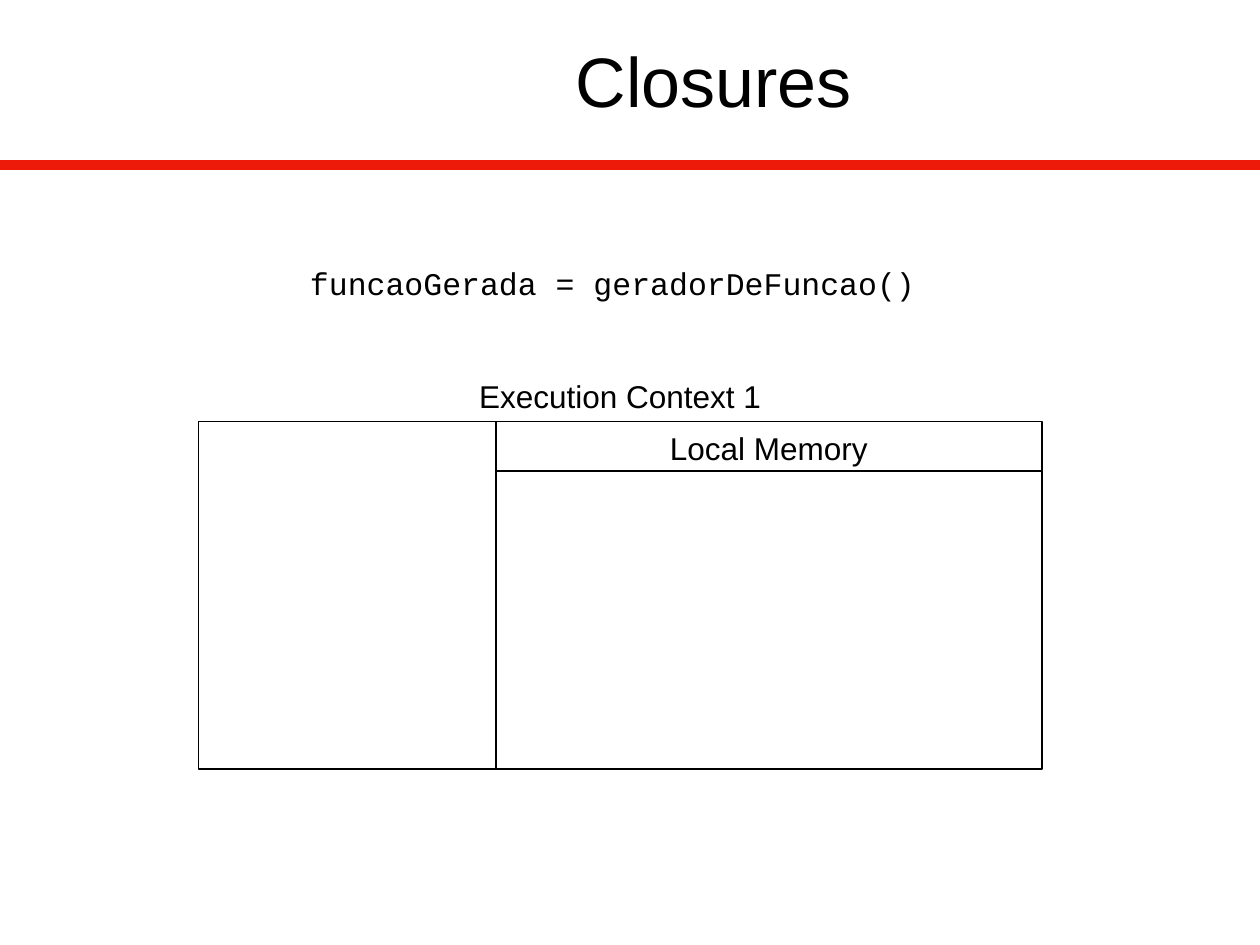
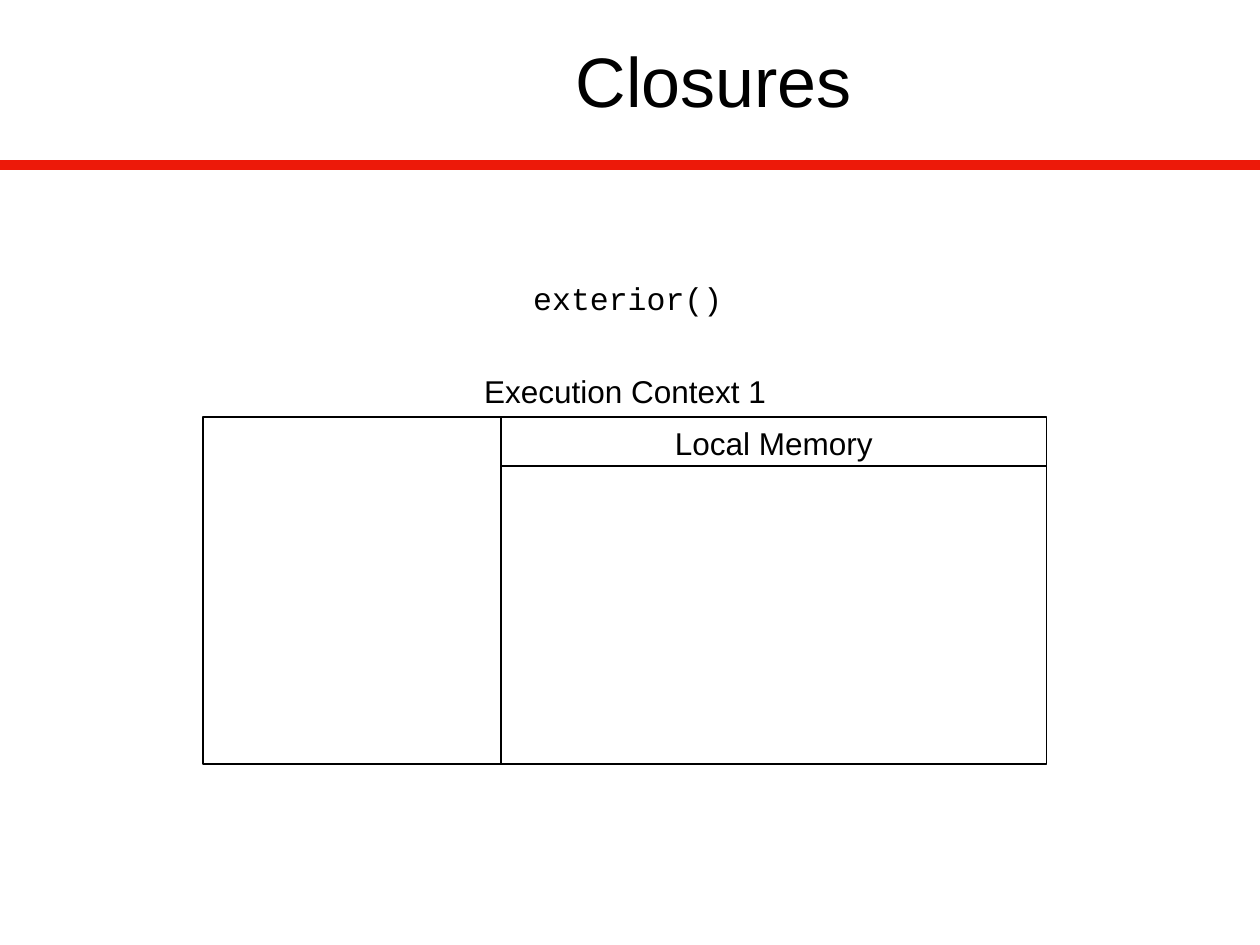
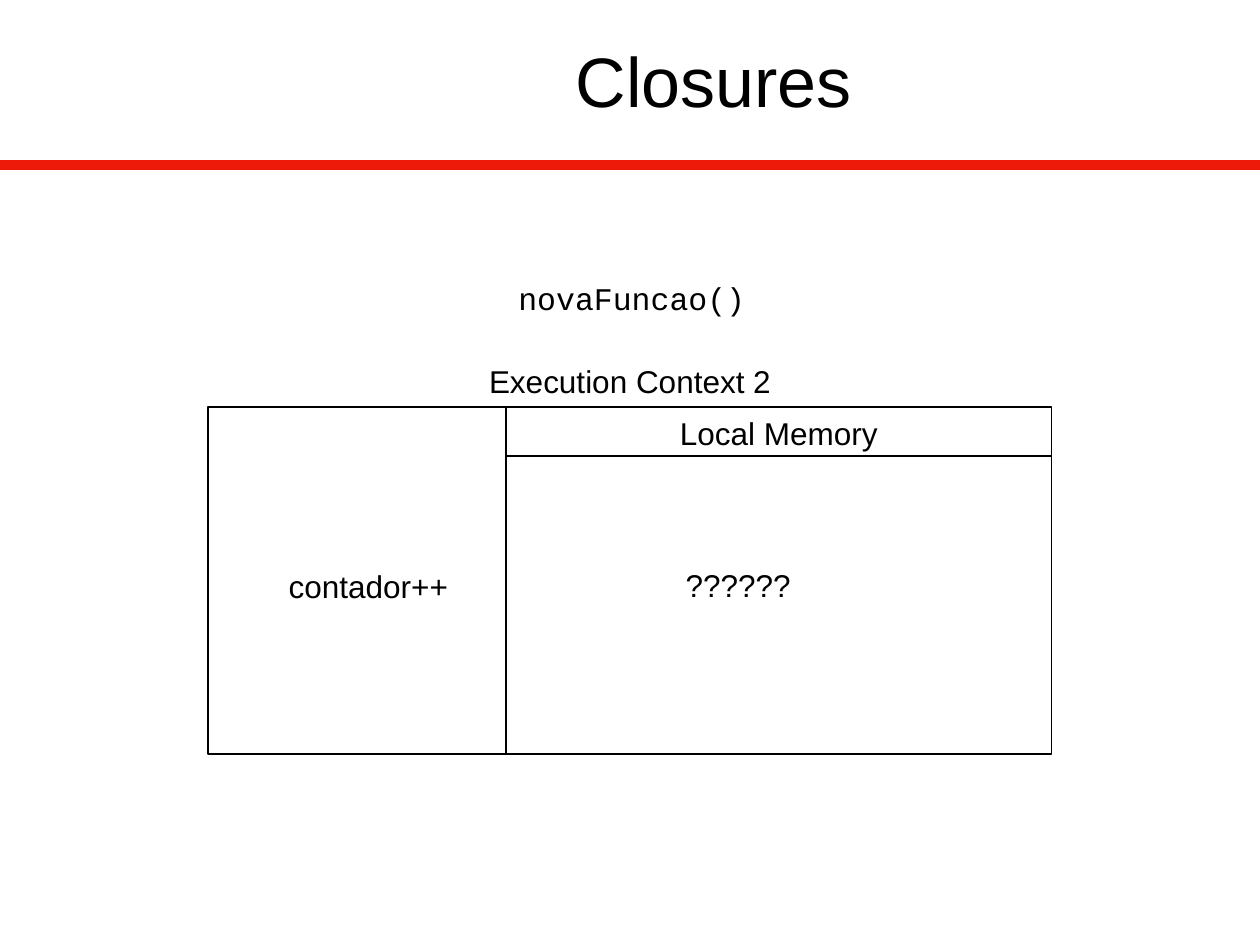
import pptx
import pptx.dml.color
import pptx.enum.shapes
import pptx.enum.text
import pptx.oxml.ns
import pptx.util
from lxml import etree

Cm = pptx.util.Cm
Pt = pptx.util.Pt
Align = pptx.enum.text.PP_ALIGN

BLACK = pptx.dml.color.RGBColor(0x00, 0x00, 0x00)
RED = pptx.dml.color.RGBColor(0xED, 0x19, 0x09)
BODY_FONT = "Arial"
CODE_FONT = "Courier New"

SLIDE_WIDTH, SLIDE_HEIGHT = 25.4, 19.05
BAND_TOP = 3.33
LABEL_HEIGHT = 1.02
CONTEXT_WIDTH, CONTEXT_HEIGHT = 17, 7
CODE_COLUMN_WIDTH = 6
HEADER_HEIGHT = 1


def add_text(slide, text, left, top, width, height=LABEL_HEIGHT, size=18,
             font=BODY_FONT, align=Align.LEFT, wrap=True):
    """Add a one-line text box, with lengths in centimetres."""
    shape = slide.shapes.add_textbox(Cm(left), Cm(top), Cm(width), Cm(height))
    text_frame = shape.text_frame
    text_frame.word_wrap = wrap
    text_frame.text = text
    paragraph = text_frame.paragraphs[0]
    paragraph.alignment = align
    run_font = paragraph.runs[0].font
    run_font.name = font
    run_font.size = Pt(size)
    run_font.color.rgb = BLACK
    return shape


def add_line(slide, start, end, color=BLACK, weight=1):
    """Add a straight line without shadow between two points."""
    line = slide.shapes.add_connector(
        pptx.enum.shapes.MSO_CONNECTOR.STRAIGHT,
        Cm(start[0]), Cm(start[1]), Cm(end[0]), Cm(end[1]))
    line.line.color.rgb = color
    line.line.width = Pt(weight)
    etree.SubElement(line._element.spPr, pptx.oxml.ns.qn("a:effectLst"))


def add_closures_slide(presentation):
    """Add a blank slide with the shared red band and title."""
    slide = presentation.slides.add_slide(presentation.slide_layouts[6])
    add_line(slide, (0, BAND_TOP), (SLIDE_WIDTH, BAND_TOP), RED, 6)
    title = add_text(slide, "Closures", 3.89, -0.23, 21, 3.66, size=40, align=Align.CENTER)
    title.text_frame.vertical_anchor = pptx.enum.text.MSO_ANCHOR.MIDDLE
    return slide


def add_execution_context(slide, number, left, top):
    """Add a captioned frame split into a code column and local memory."""
    divider = left + CODE_COLUMN_WIDTH
    right = left + CONTEXT_WIDTH
    header_bottom = top + HEADER_HEIGHT
    add_line(slide, (divider, top), (divider, top + CONTEXT_HEIGHT))
    add_line(slide, (divider, header_bottom), (right, header_bottom))
    add_text(slide, f"Execution Context {number}", left, top - LABEL_HEIGHT,
             CONTEXT_WIDTH, align=Align.CENTER)
    add_text(slide, "Local Memory", divider, top + 0.02, right - divider, align=Align.CENTER)
    frame = slide.shapes.add_shape(
        pptx.enum.shapes.MSO_SHAPE.RECTANGLE,
        Cm(left), Cm(top), Cm(CONTEXT_WIDTH), Cm(CONTEXT_HEIGHT))
    frame.shadow.inherit = False
    frame.fill.background()
    frame.line.color.rgb = BLACK
    frame.line.width = Pt(1)


def add_call(slide, code, left, top, width, wrap=True):
    """Add the function call that opens the context."""
    add_text(slide, code, left, top, width, font=CODE_FONT, wrap=wrap)


def main():
    """Build the three closure slides and save them."""
    presentation = pptx.Presentation()
    presentation.slide_width = Cm(SLIDE_WIDTH)
    presentation.slide_height = Cm(SLIDE_HEIGHT)

    slide = add_closures_slide(presentation)
    add_execution_context(slide, 1, 4, 8.5)
    add_call(slide, "funcaoGerada = geradorDeFuncao()", 6, 5.2, 12.7, wrap=False)

    slide = add_closures_slide(presentation)
    add_execution_context(slide, 1, 4.1, 8.4)
    add_call(slide, "exterior()", 10.5, 5.5, 4.32)

    slide = add_closures_slide(presentation)
    add_execution_context(slide, 2, 4.2, 8.2)
    add_text(slide, "contador++", 5.57, 11.3, 6)
    add_text(slide, "??????", 13.57, 11.28, 6)
    add_call(slide, "novaFuncao()", 10.2, 5.5, 5.5)

    presentation.save("out.pptx")


if __name__ == "__main__":
    main()
